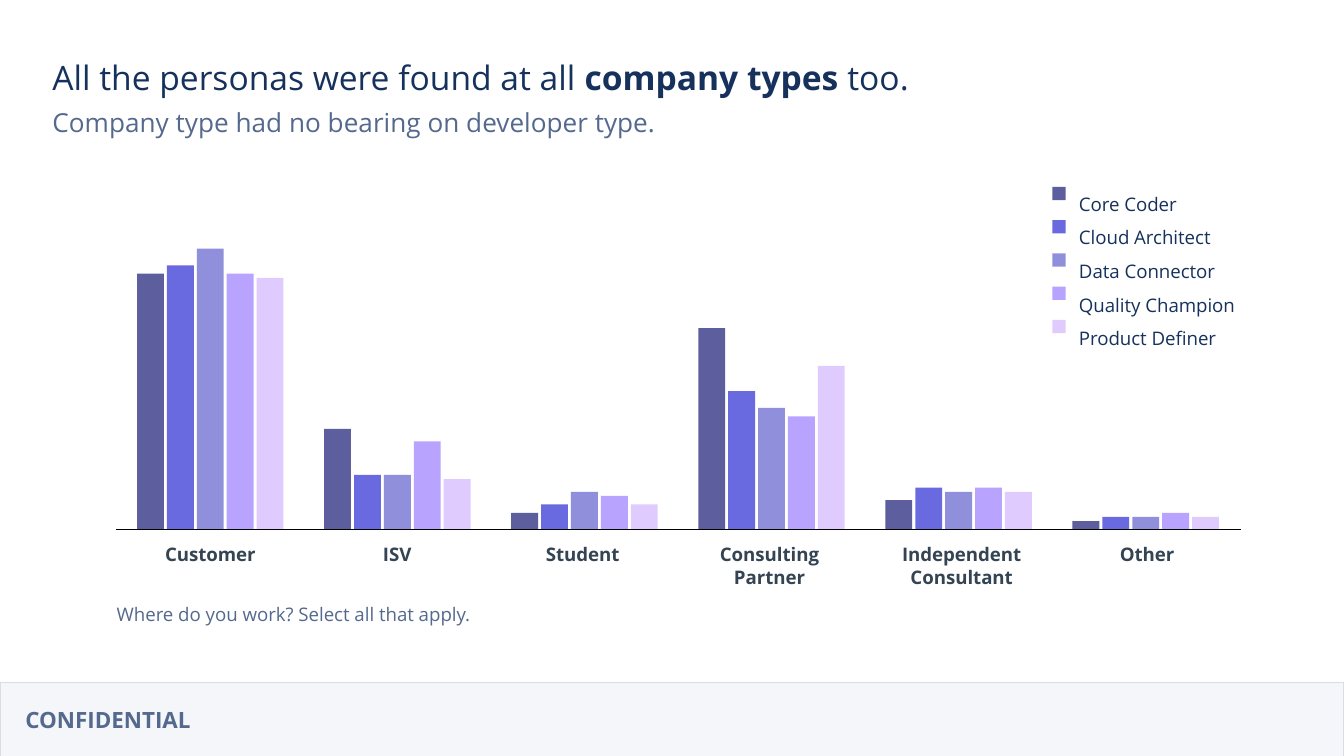
from dataclasses import dataclass

from lxml import etree
from pptx import Presentation
from pptx.dml.color import RGBColor
from pptx.enum.shapes import MSO_CONNECTOR, MSO_SHAPE
from pptx.enum.text import MSO_ANCHOR, MSO_AUTO_SIZE, PP_ALIGN
from pptx.oxml.ns import qn
from pptx.util import Inches, Pt

RECTANGLE = MSO_SHAPE.RECTANGLE
STRAIGHT = MSO_CONNECTOR.STRAIGHT
TOP, MIDDLE, BOTTOM = MSO_ANCHOR.TOP, MSO_ANCHOR.MIDDLE, MSO_ANCHOR.BOTTOM
LEFT, CENTER = PP_ALIGN.LEFT, PP_ALIGN.CENTER
NO_AUTOFIT = MSO_AUTO_SIZE.NONE


@dataclass(frozen=True)
class Theme:
    font: str = "Open Sans"
    navy: str = "16325C"
    slate: str = "54698D"
    label: str = "344452"
    axis: str = "000000"
    footer_fill: str = "F4F6F9"
    footer_line: str = "D8DDE6"
    title_size: int = 18
    subtitle_size: int = 14
    footer_size: int = 12
    small_size: int = 10
    line_width: float = 0.75


@dataclass(frozen=True)
class Box:
    left: float
    top: float
    width: float
    height: float

    def lengths(self) -> tuple:
        return tuple(Inches(n) for n in (self.left, self.top, self.width, self.height))


@dataclass(frozen=True)
class TextStyle:
    size: int
    color: str
    bold: bool = False
    align: PP_ALIGN = LEFT
    anchor: MSO_ANCHOR = TOP
    spacing: float = 1.0


@dataclass(frozen=True)
class Persona:
    name: str
    color: str


@dataclass(frozen=True)
class CompanyType:
    label: str
    label_left: float
    percents: tuple  # one value per persona


THEME = Theme()

PERSONAS = (
    Persona("Core Coder", "5D5E9E"),
    Persona("Cloud Architect", "6969E0"),
    Persona("Data Connector", "8F8FDB"),
    Persona("Quality Champion", "B8A4FF"),
    Persona("Product Definer", "E0CBFE"),
)

COMPANY_TYPES = (
    CompanyType("Customer", 1.01, (61, 63, 67, 61, 60)),
    CompanyType("ISV", 2.4, (24, 13, 13, 21, 12)),
    CompanyType("Student", 3.78, (4, 6, 9, 8, 6)),
    CompanyType("Consulting\vPartner", 5.17, (48, 33, 29, 27, 39)),
    CompanyType("Independent Consultant", 6.6, (7, 10, 9, 10, 9)),
    CompanyType("Other", 7.98, (2, 3, 3, 4, 3)),
)

# Chart geometry, in inches
BASELINE = 3.94
FULL_SCALE = 3.12  # height of 100 percent
FIRST_GROUP = 1.02
GROUP_STEP = (7.98 - FIRST_GROUP) / (len(COMPANY_TYPES) - 1)
BAR_WIDTH = 0.2
BAR_STEP = 0.89 / (len(PERSONAS) - 1)
LEGEND_TOP = 1.39
LEGEND_STEP = 0.99 / (len(PERSONAS) - 1)


def write_text(shape, paragraphs: list, style: TextStyle) -> None:
    """Fill a shape with paragraphs, each a list of (text, bold) runs."""
    frame = shape.text_frame
    frame_format = {
        "word_wrap": True, "auto_size": NO_AUTOFIT, "vertical_anchor": style.anchor,
        "margin_left": Inches(0.1), "margin_right": Inches(0.1),
        "margin_top": Inches(0.1), "margin_bottom": Inches(0.1),
    }
    for name, value in frame_format.items():
        setattr(frame, name, value)
    for index, runs in enumerate(paragraphs):
        paragraph = frame.add_paragraph() if index else frame.paragraphs[0]
        paragraph_format = {
            "alignment": style.align, "line_spacing": style.spacing, "space_before": Pt(0),
        }
        for name, value in paragraph_format.items():
            setattr(paragraph, name, value)
        for text, bold in runs:
            # A vertical tab marks a line break inside the paragraph
            for part_index, part in enumerate(text.split("\v")):
                if part_index:
                    paragraph.add_line_break()
                run = paragraph.add_run()
                run.text = part
                run_format = {"name": THEME.font, "size": Pt(style.size), "bold": bold}
                for name, value in run_format.items():
                    setattr(run.font, name, value)
                run.font.color.rgb = RGBColor.from_string(style.color)


def add_text(slide, box: Box, lines: list, style: TextStyle) -> None:
    shape = slide.shapes.add_textbox(*box.lengths())
    write_text(shape, [[(line, style.bold)] for line in lines], style)


def fill_placeholder(shape, box: Box, runs: list, style: TextStyle) -> None:
    for name, value in zip(("left", "top", "width", "height"), box.lengths()):
        setattr(shape, name, value)
    write_text(shape, [runs], style)


def add_rectangle(slide, box: Box, fill: str, line: str = "") -> None:
    shape = slide.shapes.add_shape(RECTANGLE, *box.lengths())
    shape.shadow.inherit = False
    shape.fill.solid()
    shape.fill.fore_color.rgb = RGBColor.from_string(fill)
    if line:
        shape.line.color.rgb = RGBColor.from_string(line)
        shape.line.width = Pt(THEME.line_width)
    else:
        shape.line.fill.background()


def add_baseline(slide) -> None:
    line = slide.shapes.add_connector(
        STRAIGHT, Inches(9.23), Inches(BASELINE), Inches(0.86), Inches(BASELINE))
    line.line.color.rgb = RGBColor.from_string(THEME.axis)
    line.line.width = Pt(THEME.line_width)
    etree.SubElement(line._element.spPr, qn("a:effectLst"))


def add_group(slide, index: int, company: CompanyType) -> None:
    left = FIRST_GROUP + index * GROUP_STEP
    style = TextStyle(THEME.small_size, THEME.label, bold=True, align=CENTER)
    add_text(slide, Box(company.label_left, BASELINE, 1.11, 0.33), [company.label], style)
    for bar, (persona, percent) in enumerate(zip(PERSONAS, company.percents)):
        height = FULL_SCALE * percent / 100
        box = Box(left + bar * BAR_STEP, BASELINE - height, BAR_WIDTH, height)
        add_rectangle(slide, box, persona.color)


def add_legend(slide) -> None:
    style = TextStyle(THEME.small_size, THEME.navy, spacing=1.5)
    names = [persona.name for persona in PERSONAS]
    add_text(slide, Box(7.93, 1.25, 1.46, 1.34), names, style)
    for index, persona in enumerate(PERSONAS):
        box = Box(7.83, LEGEND_TOP + index * LEGEND_STEP, 0.1, 0.1)
        add_rectangle(slide, box, persona.color)


def main() -> None:
    presentation = Presentation()
    presentation.slide_width = Inches(10)
    presentation.slide_height = Inches(10 * 9 / 16)
    slide = presentation.slides.add_slide(presentation.slide_layouts[0])

    # Footer band
    add_rectangle(slide, Box(0, 5.08, 10, 0.55), THEME.footer_fill, THEME.footer_line)
    add_text(slide, Box(0.09, 5.15, 1.79, 0.41), ["CONFIDENTIAL"],
             TextStyle(THEME.footer_size, THEME.slate, bold=True, anchor=MIDDLE))

    # Legend, bars and axis
    add_legend(slide)
    for index, company in enumerate(COMPANY_TYPES):
        add_group(slide, index, company)
    add_baseline(slide)

    # Survey question
    add_text(slide, Box(0.77, 4.37, 3.81, 0.38), ["Where do you work? Select all that apply."],
             TextStyle(THEME.small_size, THEME.slate, anchor=BOTTOM, spacing=1.15))

    # Title and subtitle
    fill_placeholder(
        slide.shapes.title, Box(0.29, 0.28, 9.38, 0.55),
        [("All the personas were found at all ", False), ("company types", True), (" too.", False)],
        TextStyle(THEME.title_size, THEME.navy, spacing=1.15))
    fill_placeholder(
        slide.placeholders[1], Box(0.29, 0.66, 8.95, 0.6),
        [("Company type had no bearing on developer type.", False)],
        TextStyle(THEME.subtitle_size, THEME.slate, spacing=1.15))

    presentation.save("out.pptx")


if __name__ == "__main__":
    main()
